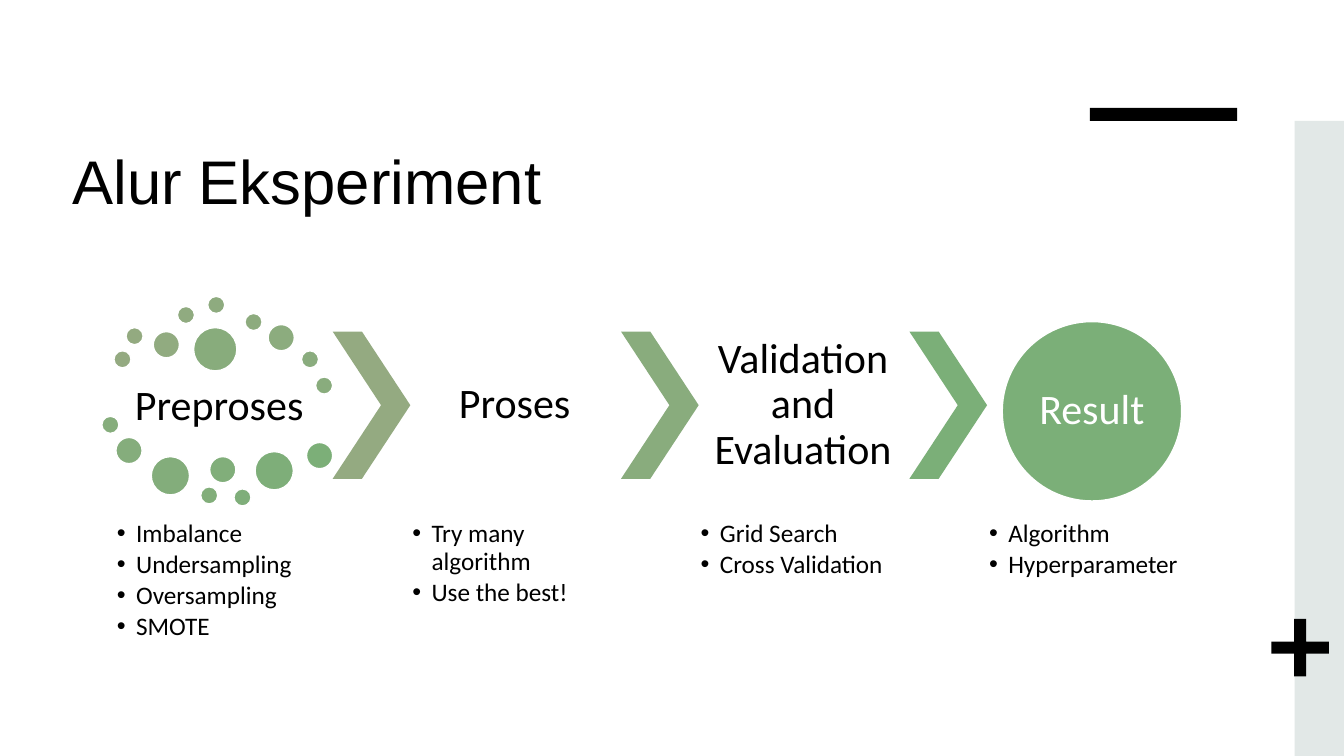
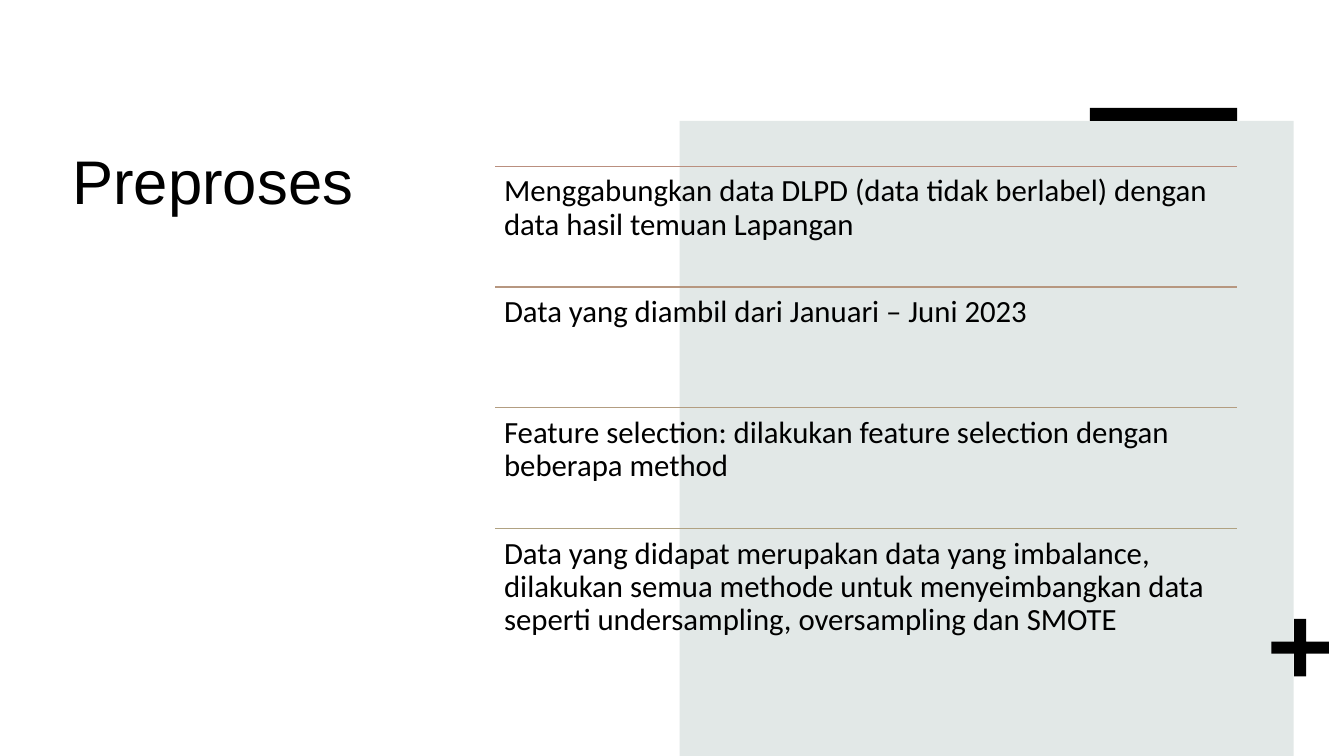
from pptx import Presentation
from pptx.dml.color import RGBColor
from pptx.enum.shapes import MSO_CONNECTOR, MSO_SHAPE
from pptx.enum.text import MSO_ANCHOR, PP_ALIGN
from pptx.oxml.ns import qn
from pptx.util import Inches, Pt
from lxml.etree import SubElement

BLACK, WHITE, PALE = "000000", "FFFFFF", "E2E8E7"
OLIVE, SAGE, GREEN = "94AA81", "89AC7D", "7BAF78"
TITLE_FONT, BODY_FONT = "Arial", "Calibri"

STEPS = [
    ("Preproses", ["Imbalance", "Undersampling", "Oversampling", "SMOTE"]),
    ("Proses", ["Try many algorithm", "Use the best!"]),
    ("Validation and Evaluation", ["Grid Search", "Cross Validation"]),
    ("Result", ["Algorithm", "Hyperparameter"]),
]
DOTS = [
    (0.12, 0.54, 0.17), (0.24, 0.31, 0.17), (0.51, 0.35, 0.26),
    (0.75, 0.1, 0.17), (1.05, 0, 0.17), (1.42, 0.17, 0.17),
    (1.65, 0.28, 0.26), (1.98, 0.54, 0.17), (2.12, 0.8, 0.17),
    (0.91, 0.31, 0.43), (0, 1.19, 0.17), (0.14, 1.4, 0.26),
    (0.49, 1.59, 0.38), (0.98, 1.89, 0.17), (1.07, 1.59, 0.26),
    (1.31, 1.91, 0.17), (1.52, 1.54, 0.38), (2.03, 1.45, 0.26),
]
NOTES = [
    ("Menggabungkan data DLPD (data tidak berlabel) dengan data hasil temuan Lapangan", "BA8F7F"),
    ("Data yang diambil dari Januari – Juni 2023", "B79780"),
    ("Feature selection: dilakukan feature selection dengan beberapa method", "B39D81"),
    ("Data yang didapat merupakan data yang imbalance, dilakukan semua methode untuk "
     "menyeimbangkan data seperti undersampling, oversampling dan SMOTE", "B0A282"),
]


def color(value):
    return RGBColor.from_string(value)


def blend(start, end, share):
    first, last = color(start), color(end)
    return "".join(f"{round(a + (b - a) * share):02X}" for a, b in zip(first, last))


def inches(box):
    return [Inches(length) for length in box]


def add_figure(slide, kind, box, fill, outline=None, adjust=None):
    figure = slide.shapes.add_shape(kind, *inches(box))
    figure.shadow.inherit = False
    figure.fill.solid()
    figure.fill.fore_color.rgb = color(fill)
    if outline:
        figure.line.color.rgb = color(outline)
        figure.line.width = Pt(1)
    else:
        figure.line.fill.background()
    if adjust is not None:
        figure.adjustments[0] = adjust


def add_text(slide, box, lines, size, font=BODY_FONT, ink=BLACK, inset=0.04,
             align=PP_ALIGN.LEFT, anchor=MSO_ANCHOR.TOP, spacing=0.9, after=0.35):
    frame = slide.shapes.add_textbox(*inches(box)).text_frame
    frame.word_wrap = True
    frame.vertical_anchor = anchor
    frame.margin_left = frame.margin_right = Inches(inset)
    frame.margin_top = frame.margin_bottom = Inches(inset)
    frame.text = "\n".join(lines)
    for paragraph in frame.paragraphs:
        paragraph.alignment = align
        paragraph.line_spacing = spacing
        paragraph.space_after = Pt(size * after)
        for run in paragraph.runs:
            run.font.size = Pt(size)
            run.font.name = font
            run.font.color.rgb = color(ink)
    return frame


def add_bullets(slide, box, lines):
    frame = add_text(slide, box, lines, 18, inset=0.03, after=0.15)
    for paragraph in frame.paragraphs:
        properties = paragraph._p.get_or_add_pPr()
        properties.set("marL", str(Inches(0.19)))
        properties.set("indent", str(-Inches(0.19)))
        SubElement(properties, qn("a:buFont")).set("typeface", "Arial")
        SubElement(properties, qn("a:buChar")).set("char", "•")


def add_heading(slide, box, label, inset=0.04, ink=BLACK):
    add_text(slide, box, [label], 30, ink=ink, inset=inset,
             align=PP_ALIGN.CENTER, anchor=MSO_ANCHOR.MIDDLE)


def start_slide(deck, title, title_box, band_left, band_width):
    slide = deck.slides.add_slide(deck.slide_layouts[6])
    add_figure(slide, MSO_SHAPE.RECTANGLE, (band_left, 1.2, band_width, 6.3), PALE)
    add_figure(slide, MSO_SHAPE.RECTANGLE, (10.81, 1.07, 1.46, 0.13), BLACK)
    add_figure(slide, MSO_SHAPE.CROSS, (12.61, 6.14, 0.57, 0.57), BLACK, adjust=0.395)
    add_text(slide, title_box, [title], 44, TITLE_FONT, inset=0.1, spacing=1, after=0)
    return slide


def add_dot_ring(slide, left, top):
    for index, (x, y, size) in enumerate(DOTS):
        fill = blend(OLIVE, GREEN, index / len(DOTS))
        add_figure(slide, MSO_SHAPE.OVAL, (left + x, top + y, size, size), fill, WHITE)


def add_flow(slide, left, top):
    pitch, width, first_chevron = 2.86, 2.09, 2.29
    chevron_width, chevron_top, chevron_height = 0.77, 0.35, 1.46
    columns = [left + 0.12] + [
        left + first_chevron + chevron_width - 0.01 + pitch * i for i in range(3)]
    add_dot_ring(slide, left, top)
    for i, fill in enumerate((OLIVE, SAGE, GREEN)):
        add_figure(slide, MSO_SHAPE.CHEVRON,
                   (left + first_chevron + pitch * i, top + chevron_top,
                    chevron_width, chevron_height), fill, adjust=0.623)
    disc = (columns[-1] + 0.16, top + 0.25, 1.78, 1.78)
    add_figure(slide, MSO_SHAPE.OVAL, disc, GREEN, WHITE)

    labels = [label for label, _ in STEPS]
    add_heading(slide, (columns[0], top + 0.75, width, 0.69), labels[0])
    for x, label in zip(columns[1:3], labels[1:3]):
        add_heading(slide, (x, top + chevron_top, width, chevron_height), label)
    add_heading(slide, (disc[0] + 0.26, disc[1] + 0.26, 1.26, 1.26), labels[3], 0, WHITE)
    for x, (_, details) in zip(columns, STEPS):
        add_bullets(slide, (x, top + 2.2, width, 1.29), details)


def add_ruled_list(slide, left, top, width, height):
    row_height = height / len(NOTES)
    for row, (note, rule_color) in enumerate(NOTES):
        y = top + row * row_height
        rule = slide.shapes.add_connector(
            MSO_CONNECTOR.STRAIGHT, *inches((left, y, left + width, y)))
        rule.line.color.rgb = color(rule_color)
        rule.line.width = Pt(1)
        SubElement(rule._element.spPr, qn("a:effectLst"))
        add_text(slide, (left, y, width, row_height), [note], 22, inset=0.09)


def build_experiment_slide(deck):
    slide = start_slide(deck, "Alur Eksperiment", (0.62, 1.32, 9.04, 1.58), 12.84, 0.5)
    add_flow(slide, 1.01, 2.94)


def build_preprocessing_slide(deck):
    slide = start_slide(deck, "Preproses", (0.62, 1.32, 3.5, 4.75), 6.74, 6.09)
    add_ruled_list(slide, 4.91, 1.65, 7.36, 4.79)


deck = Presentation()
deck.slide_width, deck.slide_height = Inches(13.33), Inches(7.5)
build_experiment_slide(deck)
build_preprocessing_slide(deck)
deck.save("out.pptx")
